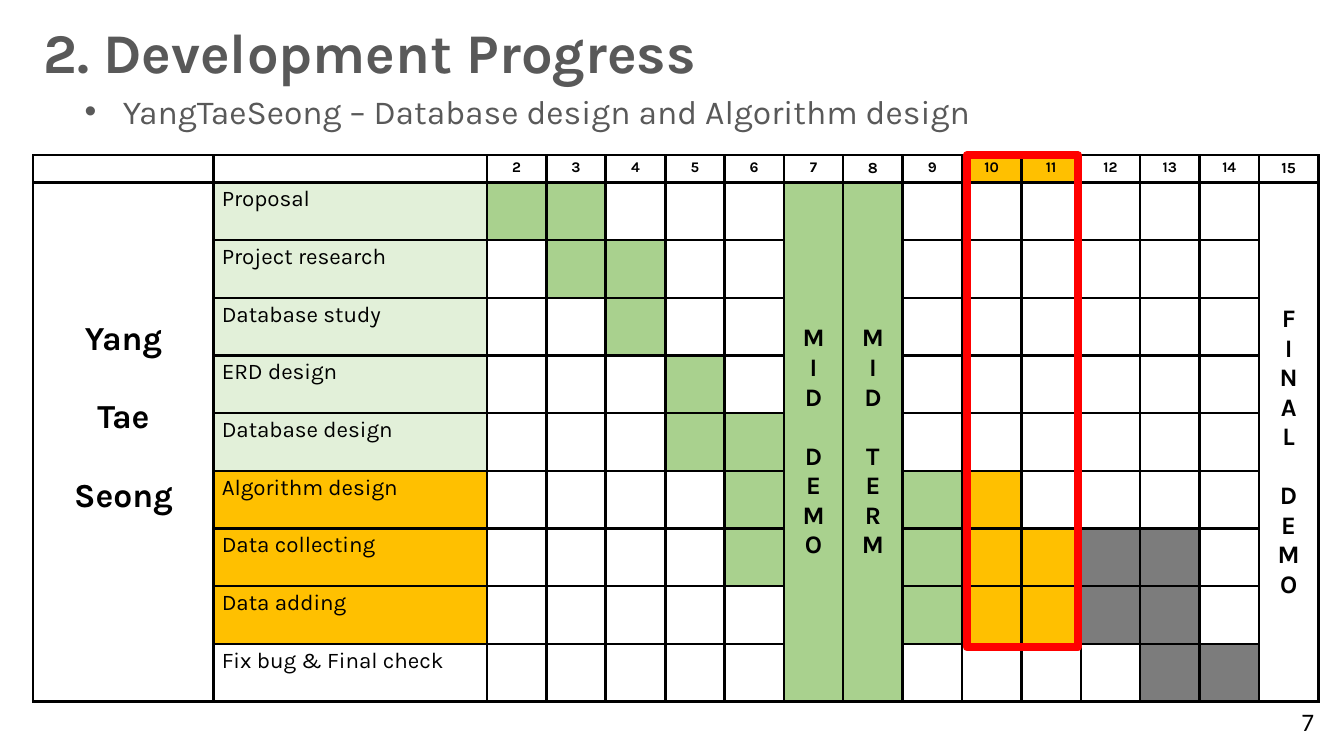
from lxml import etree
from pptx import Presentation
from pptx.dml.color import RGBColor
from pptx.enum.shapes import MSO_SHAPE
from pptx.enum.text import MSO_ANCHOR as Anchor, MSO_AUTO_SIZE as AutoSize, PP_ALIGN as Align
from pptx.oxml.ns import qn
from pptx.util import Inches, Pt

BLACK = RGBColor(0x00, 0x00, 0x00)
WHITE = RGBColor(0xFF, 0xFF, 0xFF)
GREY_TEXT = RGBColor(0x59, 0x59, 0x59)
DONE = RGBColor(0xA9, 0xD1, 0x8E)
DONE_TASK = RGBColor(0xE2, 0xF0, 0xD9)
CURRENT = RGBColor(0xFF, 0xC0, 0x00)
PLANNED = RGBColor(0x7C, 0x7C, 0x7C)
RED = RGBColor(0xFF, 0x00, 0x00)

# Weeks 2 to 15 lie in the table columns with the same index.
FIRST_WEEK, LAST_WEEK = 2, 15
CURRENT_WEEKS = (10, 11)
STATUS_FILL = {"d": DONE, "c": CURRENT, "p": PLANNED, ".": WHITE}
# Task, fill of its name, status for each week
TASKS = [
    ("Proposal", DONE_TASK, "dd............"),
    ("Project research", DONE_TASK, ".dd..........."),
    ("Database study", DONE_TASK, "..d..........."),
    ("ERD design", DONE_TASK, "...d.........."),
    ("Database design", DONE_TASK, "...dd........."),
    ("Algorithm design", CURRENT, "....d..dc....."),
    ("Data collecting", CURRENT, "....d..dccpp.."),
    ("Data adding", CURRENT, ".......dccpp.."),
    ("Fix bug & Final check", WHITE, "...........pp."),
]

TABLE_W, TABLE_H = 12.75, 5.42
OWNER_W, TASK_W, HEADER_H = 1.79, 2.71, 0.27
WEEK_W = (TABLE_W - OWNER_W - TASK_W) / (LAST_WEEK - FIRST_WEEK + 1)
TASK_H = (TABLE_H - HEADER_H) / len(TASKS)
THIN, THICK = Pt(1.98), Pt(2.55)
THICK_AFTER = (4, 10)


def write(tf, *lines, size, font="Karla", color=BLACK, bold=False, align=Align.LEFT,
          gaps=()):
    """Write one paragraph per line; gaps maps a line index to the space before it."""
    gaps = dict(gaps)
    for i, line in enumerate(lines):
        p = tf.paragraphs[0] if i == 0 else tf.add_paragraph()
        p.alignment = align
        if i in gaps:
            p.space_before = Pt(gaps[i])
        r = p.add_run()
        r.text = line
        r.font.name, r.font.size, r.font.bold = font, Pt(size), bold
        r.font.color.rgb = color
    return tf


def add_text(slide, text, left, top, width, height, wrap=True, **fmt):
    tf = slide.shapes.add_textbox(Inches(left), Inches(top), Inches(width),
                                  Inches(height)).text_frame
    tf.word_wrap = wrap
    tf.auto_size = AutoSize.SHAPE_TO_FIT_TEXT
    return write(tf, text, **fmt)


def add_bullet(p, indent):
    pPr = p._p.get_or_add_pPr()
    pPr.set("marL", str(Inches(indent)))
    pPr.set("indent", str(-Inches(indent)))
    etree.SubElement(pPr, qn("a:buFont")).set("typeface", "Arial")
    etree.SubElement(pPr, qn("a:buChar")).set("char", "•")


def set_borders(cell, col):
    tcPr = cell._tc.get_or_add_tcPr()
    left = THICK if col - 1 in THICK_AFTER else THIN
    right = THICK if col in THICK_AFTER else THIN
    for tag, width in (("lnL", left), ("lnR", right), ("lnT", THIN), ("lnB", THIN)):
        ln = etree.SubElement(tcPr, qn("a:" + tag), w=str(width))
        fill = etree.SubElement(ln, qn("a:solidFill"))
        etree.SubElement(fill, qn("a:srgbClr")).set("val", str(BLACK))


def set_fill(cell, color):
    cell.fill.solid()
    cell.fill.fore_color.rgb = color


def set_margins(cell, side, top, bottom):
    cell.margin_left = cell.margin_right = Inches(side)
    cell.margin_top, cell.margin_bottom = Inches(top), Inches(bottom)


def add_schedule_grid(slide):
    """Add the table with its sizes, borders and white cells."""
    table = slide.shapes.add_table(len(TASKS) + 1, LAST_WEEK + 1, Inches(0.33), Inches(1.54),
                                   Inches(TABLE_W), Inches(TABLE_H)).table
    table.first_row = table.horz_banding = False
    for i, column in enumerate(table.columns):
        column.width = Inches((OWNER_W, TASK_W)[i] if i < FIRST_WEEK else WEEK_W)
    for i, row in enumerate(table.rows):
        row.height = Inches(TASK_H if i else HEADER_H)
        for col, cell in enumerate(row.cells):
            set_borders(cell, col)
            set_fill(cell, WHITE)
            set_margins(cell, 0.08, 0.04, 0.04)
    return table


def fill_header(table):
    for col in range(FIRST_WEEK):
        p = table.cell(0, col).text_frame.paragraphs[0]._p
        etree.SubElement(p, qn("a:endParaRPr")).set("sz", "1050")
    for week in range(FIRST_WEEK, LAST_WEEK + 1):
        cell = table.cell(0, week)
        write(cell.text_frame, str(week), size=11 if week in (8, 15) else 10.5,
              bold=True, align=Align.CENTER)
        if week in CURRENT_WEEKS:
            set_fill(cell, CURRENT)


def fill_tasks(table):
    for row, (task, color, statuses) in enumerate(TASKS, start=1):
        cell = table.cell(row, 1)
        write(cell.text_frame, task, size=16)
        set_fill(cell, color)
        for week, status in enumerate(statuses, start=FIRST_WEEK):
            set_fill(table.cell(row, week), STATUS_FILL[status])


def merge_column(table, col, color=WHITE):
    cell = table.cell(1, col)
    cell.merge(table.cell(len(TASKS), col))
    set_fill(cell, color)
    return cell


def add_milestone(table, week, first, second, color=WHITE, top=None):
    """Write two words downwards, centred in the column or from the given top margin."""
    cell = merge_column(table, week, color)
    if top is None:
        set_margins(cell, 0.11, 0.06, 0.06)
        cell.vertical_anchor = Anchor.MIDDLE
    else:
        cell.margin_top = Inches(top)
    write(cell.text_frame, *first, *second, size=18, bold=True, align=Align.CENTER,
          gaps={len(first): 21})


def add_current_frame(slide):
    sp = slide.shapes.add_shape(MSO_SHAPE.RECTANGLE, Inches(9.59), Inches(1.54),
                                Inches(1.1), Inches(4.88))
    sp.shadow.inherit = False
    sp.fill.background()
    sp.line.color.rgb = RED
    sp.line.width = Pt(6)


def main():
    prs = Presentation()
    prs.slide_width, prs.slide_height = Inches(13.33), Inches(7.5)
    slide = prs.slides.add_slide(prs.slide_layouts[6])

    subtitle = add_text(slide, "YangTaeSeong – Database design and Algorithm design",
                        0.74, 0.85, 12.6, 0.5, size=24, color=GREY_TEXT)
    add_bullet(subtitle.paragraphs[0], 0.38)

    table = add_schedule_grid(slide)
    fill_header(table)
    fill_tasks(table)
    owner = merge_column(table, 0)
    set_margins(owner, 0.11, 1.36, 0.06)
    write(owner.text_frame, "Yang", "Tae", "Seong", size=24, bold=True,
          align=Align.CENTER, gaps={1: 28, 2: 28})
    add_milestone(table, 7, "MID", "DEMO", DONE)
    add_milestone(table, 8, "MID", "TERM", DONE)
    add_milestone(table, 15, "FINAL", "DEMO", top=1.21)

    add_text(slide, "7", 12.81, 6.96, 0.33, 0.4, wrap=False, size=18, font="Calibri")
    add_text(slide, "2. Development Progress", 0.33, 0.12, 7.52, 0.77,
             size=40, color=GREY_TEXT, bold=True)
    add_current_frame(slide)
    prs.save("out.pptx")


if __name__ == "__main__":
    main()
